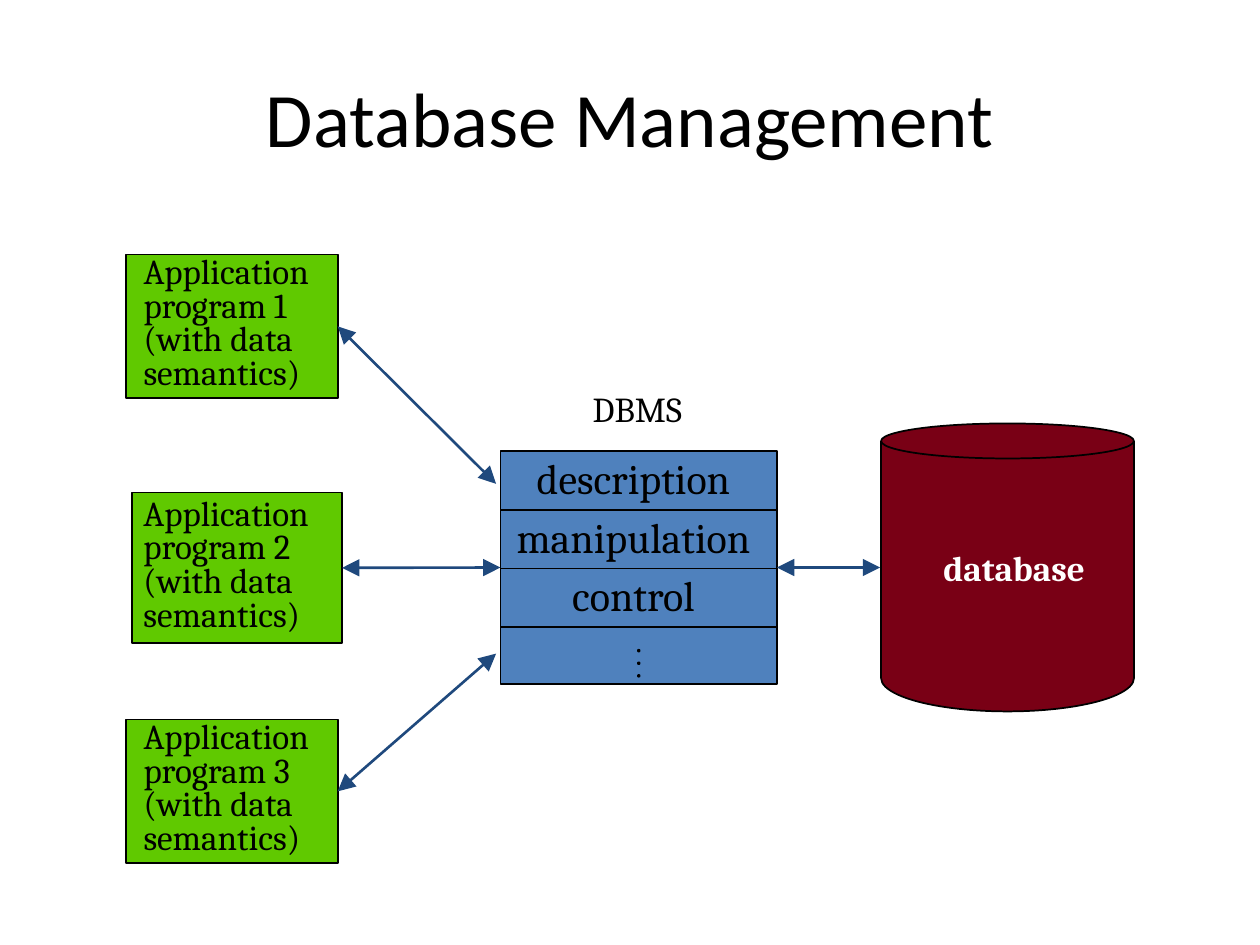
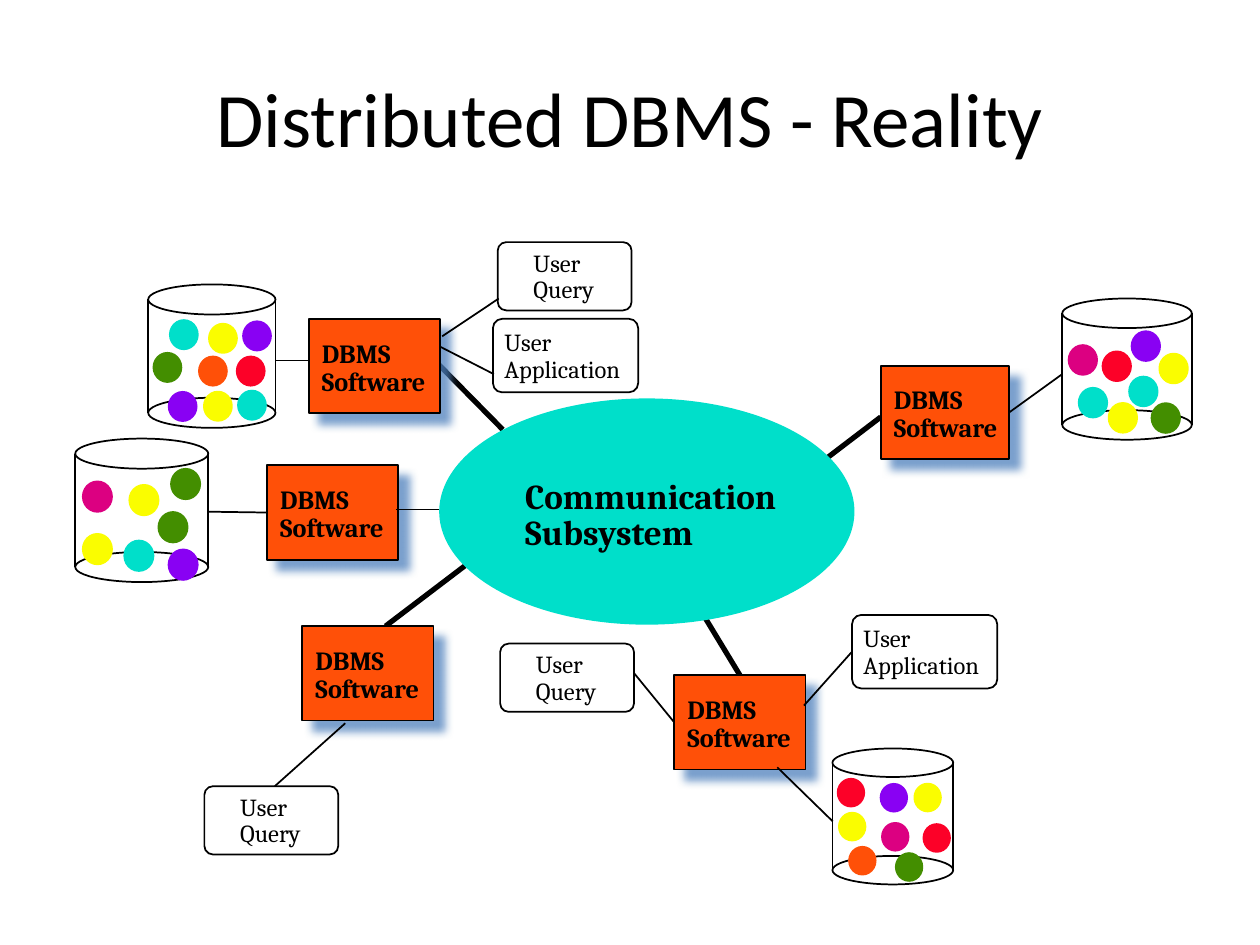
from collections import namedtuple
from dataclasses import dataclass

from lxml import etree
from pptx import Presentation
from pptx.dml.color import RGBColor
from pptx.enum.shapes import MSO_CONNECTOR, MSO_SHAPE
from pptx.enum.text import MSO_ANCHOR, PP_ALIGN
from pptx.oxml.ns import qn
from pptx.util import Pt

RECT, ROUNDED, OVAL = MSO_SHAPE.RECTANGLE, MSO_SHAPE.ROUNDED_RECTANGLE, MSO_SHAPE.OVAL
STRAIGHT = MSO_CONNECTOR.STRAIGHT
MIDDLE = MSO_ANCHOR.MIDDLE
LEFT_ALIGN, CENTER = PP_ALIGN.LEFT, PP_ALIGN.CENTER
TOP, LEFT, BOTTOM, RIGHT = range(4)

Box = namedtuple("Box", "left top width height")


@dataclass(frozen=True)
class Theme:
    title_font: str = "Calibri"
    body_font: str = "Cambria"
    title_size: float = 44
    row_size: float = 24
    label_size: float = 20
    software_size: float = 15
    user_size: float = 14
    black: str = "000000"
    white: str = "FFFFFF"
    arrow: str = "1F497D"
    blue: str = "4F81BD"
    program: str = "60C900"
    database: str = "790015"
    teal: str = "00DFCA"
    yellow: str = "FAFD00"
    green: str = "438E00"
    magenta: str = "DC0081"
    violet: str = "8901F3"
    red: str = "FC0128"
    orange: str = "FF5008"


THEME = Theme()


def rgb(color):
    return RGBColor.from_string(color)


def points(box):
    return [Pt(value) for value in box]


def add_text(shape, lines, size, color=THEME.black, font=THEME.body_font, bold=False,
             align=LEFT_ALIGN, spacing=1.0, insets=(0, 0, 0, 0)):
    """Fill a shape with one paragraph a line; insets are left, top, right, bottom."""
    frame = shape.text_frame
    frame.word_wrap = True
    frame.vertical_anchor = MIDDLE
    (frame.margin_left, frame.margin_top,
     frame.margin_right, frame.margin_bottom) = points(insets)
    for index, line in enumerate(lines):
        para = frame.add_paragraph() if index else frame.paragraphs[0]
        para.alignment = align
        para.line_spacing = spacing
        span = para.add_run()
        span.text = line
        span.font.name = font
        span.font.size = Pt(size)
        span.font.bold = bold
        span.font.color.rgb = rgb(color)


def add_label(page, box, lines, size, **style):
    label = page.shapes.add_textbox(*points(box))
    add_text(label, lines, size, **style)


def add_figure(page, kind, box, fill=None, line=THEME.black, weight=1):
    figure = page.shapes.add_shape(kind, *points(box))
    figure.shadow.inherit = False
    if fill:
        figure.fill.solid()
        figure.fill.fore_color.rgb = rgb(fill)
    else:
        figure.fill.background()
    if line:
        figure.line.color.rgb = rgb(line)
        figure.line.width = Pt(weight)
    else:
        figure.line.fill.background()
    return figure


def add_link(page, start, end, color=THEME.black, weight=1, arrows=False, behind=False):
    """Draw a line; each end is a point (x, y) or a joint (shape, side)."""
    joined = [not isinstance(place[0], (int, float)) for place in (start, end)]
    ends = [(0, 0) if joint else place for place, joint in zip((start, end), joined)]
    link = page.shapes.add_connector(STRAIGHT, *points(ends[0] + ends[1]))
    if joined[0]:
        link.begin_connect(*start)
    if joined[1]:
        link.end_connect(*end)
    link.line.color.rgb = rgb(color)
    link.line.width = Pt(weight)
    properties = link.element.spPr
    if arrows:
        outline = properties.find(qn("a:ln"))
        for tag in ("a:headEnd", "a:tailEnd"):
            etree.SubElement(outline, qn(tag), type="triangle", w="lg", len="lg")
    etree.SubElement(properties, qn("a:effectLst"))
    if behind:
        link.element.getparent().insert(2, link.element)


def add_soft_shadow(shape):
    effects = shape.element.spPr.find(qn("a:effectLst"))
    shadow = etree.SubElement(effects, qn("a:outerShdw"), blurRad=str(Pt(5)),
                              dist=str(Pt(8.5)), dir=str(45 * 60000), algn="tl")
    color = etree.SubElement(shadow, qn("a:srgbClr"), val=THEME.blue)
    etree.SubElement(color, qn("a:alpha"), val="75000")


def add_cylinder(page, box, cap, base, fill=None):
    """Draw a top cap and a base of the given heights, joined by two sides."""
    left, top, width, height = box
    start, end = top + cap / 2, top + height - base / 2
    add_figure(page, OVAL, Box(left, end - base / 2, width, base), fill)
    if fill:
        add_figure(page, RECT, Box(left, start, width, end - start), fill, line=None)
    for x in (left, left + width):
        add_link(page, (x, start), (x, end))
    add_figure(page, OVAL, Box(left, top, width, cap), fill)


def add_page(deck, title):
    page = deck.slides.add_slide(deck.slide_layouts[6])
    add_label(page, Box(36, 21.6, 648, 90), [title], THEME.title_size,
              font=THEME.title_font, align=CENTER)
    return page


def add_database(page, box):
    add_cylinder(page, box, 20, 38, THEME.database)
    name = add_figure(page, RECT, Box(box.left + 28.5, box.top + 67, 95, 31),
                      THEME.database, line=None)
    add_text(name, ["database"], THEME.label_size, THEME.white, bold=True,
             insets=(7.2, 0, 0, 0))


def add_program(page, box, number, indent):
    program = add_figure(page, RECT, box, THEME.program)
    lines = ["Application", f"program {number}", "(with data", "semantics)"]
    add_text(program, lines, THEME.label_size, spacing=0.8, insets=(indent, 0, 0, 1.5))
    return program


def add_dbms(page, box):
    """Draw the system box: a heading above, three named rows and a row of dots."""
    left, top, width, height = box
    system = add_figure(page, RECT, box, THEME.blue)
    add_label(page, Box(left, top - 40, width, 31), ["DBMS"], THEME.label_size,
              align=CENTER, insets=(0, 0, 1.5, 0))
    row = 33.5
    for index, name in enumerate(["description", "manipulation", "control"]):
        y = top + index * row
        add_label(page, Box(left, y, width, row), [name], THEME.row_size,
                  align=CENTER, insets=(0, 0, 6, 3))
        add_link(page, (left, y + row), (left + width, y + row))
    for index in range(3):
        add_figure(page, OVAL, Box(left + width / 2 - 0.5, top + 113.5 + 7.2 * index, 1, 1),
                   THEME.black)
    return system


def build_management(deck):
    page = add_page(deck, "Database Management")
    add_database(page, Box(503.5, 242, 144.5, 164.5))
    system = add_dbms(page, Box(286, 257.8, 158, 133))
    boxes = [Box(72, 145.5, 121, 82), Box(75.5, 281.5, 120, 86), Box(72, 411.2, 121, 82)]
    targets = [(283.5, 276.5), (system, LEFT), (283.5, 373.5)]
    links = [((system, RIGHT), (503, 324.3))]
    for number, (box, target) in enumerate(zip(boxes, targets), 1):
        program = add_program(page, box, number, indent=82 - box.left)
        links.append(((program, RIGHT), target))
    for start, end in links:
        add_link(page, start, end, THEME.arrow, 1.5, arrows=True)


def add_store(page, box, dots):
    """Draw an open cylinder with dots; dots maps a colour to places in the box."""
    cap = round(0.21 * box.height, 1)
    add_cylinder(page, box, cap, cap)
    for color, places in dots.items():
        thick = color == THEME.yellow
        size = round(0.22 * box.width - (3 if thick else 0), 1)
        for x, y in places:
            add_figure(page, OVAL, Box(box.left + x, box.top + y, size, size + 0.7),
                       color, color, 4 if thick else 1)


def add_software(page, left, top, width=75, height=54):
    software = add_figure(page, RECT, Box(left, top, width, height), THEME.orange)
    add_soft_shadow(software)
    add_text(software, ["DBMS", "Software"], THEME.software_size, bold=True,
             spacing=0.9, insets=(7.5, 3, 0, 0))
    return software


def add_user(page, box, role, indent):
    user = add_figure(page, ROUNDED, box)
    user.adjustments[0] = 0.125
    add_text(user, ["User", role], THEME.user_size, spacing=0.9,
             insets=(indent, 1.5, 0, 0))
    return user


def add_query(page, left, top):
    return add_user(page, Box(left, top, 76.5, 39), "Query", 19)


def add_application(page, left, top):
    return add_user(page, Box(left, top, 83, 42), "Application", 5)


def add_stores(page):
    add_store(page, Box(43, 250.6, 76, 82), {
        THEME.yellow: [(32.4, 28), (5.8, 56)],
        THEME.green: [(47.5, 42), (54.7, 17.3)],
        THEME.teal: [(28, 58.3)],
        THEME.magenta: [(4.3, 24.5)],
        THEME.violet: [(53.3, 63.4)]})
    add_store(page, Box(84.7, 162.5, 72.7, 82), {
        THEME.yellow: [(33.3, 62.8), (36.2, 24)],
        THEME.green: [(3, 39.1)],
        THEME.teal: [(51.3, 60.7), (12.4, 20.4)],
        THEME.red: [(50.6, 41.2)],
        THEME.violet: [(54.2, 21.1), (11.7, 61.4)],
        THEME.orange: [(29, 41.2)]})
    add_store(page, Box(475.7, 427.7, 69, 77.7), {
        THEME.violet: [(27.5, 20.2)],
        THEME.green: [(36.2, 59.8)],
        THEME.red: [(3, 17.3), (52, 43.2)],
        THEME.magenta: [(28.3, 42.5)],
        THEME.orange: [(9.5, 56.2)],
        THEME.yellow: [(48.3, 21.6), (5.2, 38.2)]})
    add_store(page, Box(607, 170.6, 74, 80.7), {
        THEME.yellow: [(28, 61.2), (57, 33)],
        THEME.green: [(51, 59.8)],
        THEME.teal: [(9.4, 51), (38.2, 44.6)],
        THEME.red: [(23, 30.2)],
        THEME.magenta: [(3.6, 26.6)],
        THEME.violet: [(39.6, 18.7)]})


def build_distributed(deck):
    page = add_page(deck, "Distributed DBMS - Reality")
    subsystem = add_figure(page, OVAL, Box(253, 229.7, 233.3, 125.3),
                           THEME.teal, THEME.teal, 4)
    add_text(subsystem, ["Communication", "Subsystem"], THEME.label_size, bold=True,
             spacing=0.85, insets=(13, 6, 0, 0))
    add_stores(page)
    add_software(page, 176.4, 182.2)
    middle = add_software(page, 152.6, 265.9)
    add_software(page, 172.8, 357.8)
    central = add_software(page, 385.3, 385.8)
    eastern = add_software(page, 503.3, 209.3, 73.4, 52.8)
    add_query(page, 284.4, 138.4)
    add_application(page, 281.7, 182.2)
    add_query(page, 116.8, 449.3)
    add_query(page, 285.8, 367.8)
    central_application = add_application(page, 486.9, 351.4)

    trunks = [((248.4, 206), (287.3, 245.5)),
              ((473, 261.4), (503.3, 238.3)),
              ((403.2, 353.5), (central, TOP)),
              ((220.3, 357.8), (265.7, 323.3))]
    for start, end in trunks:
        add_link(page, start, end, weight=3, behind=True)
    branches = [((250.6, 291.2), (226.4, 291.2)),
                ((middle, LEFT), (118.8, 292.4)),
                ((157.7, 206), (176.4, 206)),
                ((251.3, 198), (282.2, 213.8)),
                ((252.7, 192.2), (285, 170.6)),
                ((444.2, 438.5), (475.9, 469.4)),
                ((central_application, LEFT), (459.4, 403.2)),
                ((362.2, 384.5), (central, LEFT)),
                ((197.3, 413.3), (157, 449.3)),
                ((eastern, RIGHT), (607, 213.8))]
    for start, end in branches:
        add_link(page, start, end)


def main():
    deck = Presentation()
    deck.slide_width, deck.slide_height = Pt(720), Pt(540)
    build_management(deck)
    build_distributed(deck)
    deck.save("out.pptx")


if __name__ == "__main__":
    main()
